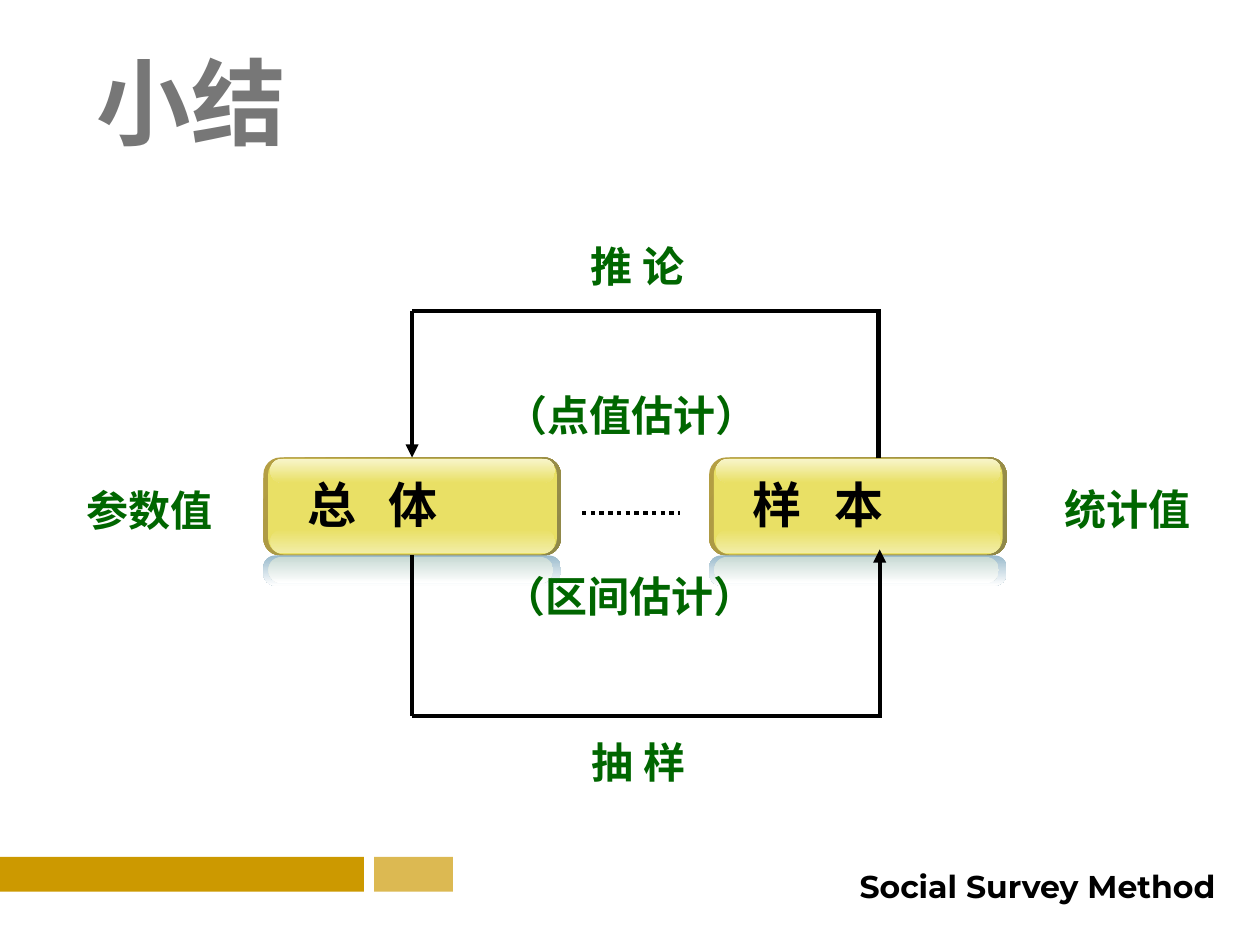
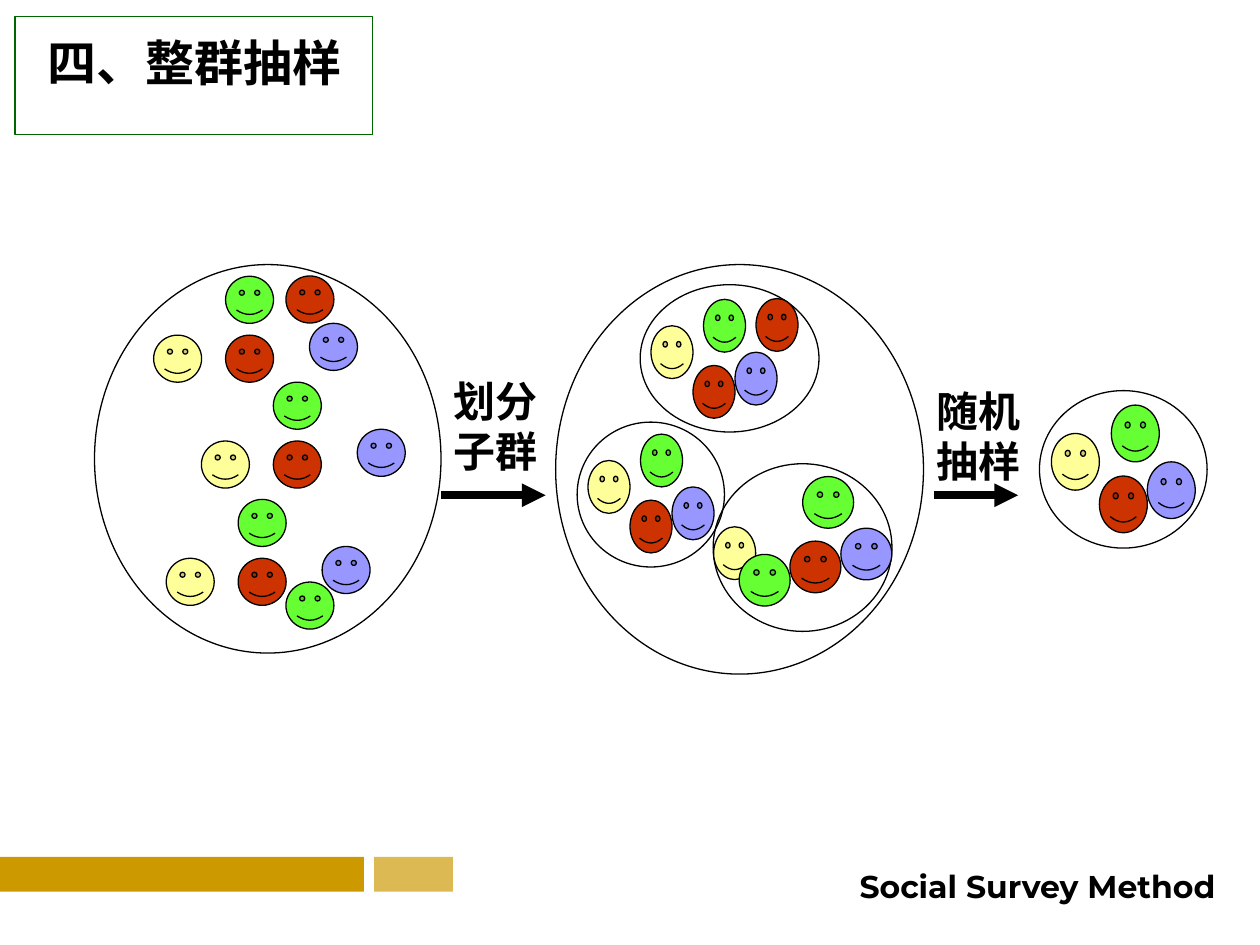
import pptx
import pptx.dml.color
import pptx.enum.dml
import pptx.enum.shapes
import pptx.enum.text
import pptx.oxml
import pptx.oxml.ns
import pptx.util
from lxml import etree

Pt = pptx.util.Pt
RGBColor = pptx.dml.color.RGBColor
ShapeKind = pptx.enum.shapes.MSO_SHAPE
Align = pptx.enum.text.PP_ALIGN
qn = pptx.oxml.ns.qn

BLACK = RGBColor(0, 0, 0)
WHITE = RGBColor(0xFF, 0xFF, 0xFF)
GOLD = RGBColor(0xCC, 0x99, 0x00)
GREEN = RGBColor(0x00, 0x66, 0x00)
GREY = RGBColor(0x77, 0x77, 0x77)

PILL = RGBColor(0xE9, 0xE0, 0x65)
PILL_RIM = (RGBColor(0xB5, 0x9F, 0x43), RGBColor(0x8F, 0x88, 0x49))
PILL_SHINE = (RGBColor(0xF8, 0xF5, 0xCC), PILL)
PILL_GLOW = (PILL, RGBColor(0xF2, 0xED, 0xA6))
REFLECTION_RIM = (RGBColor(0x99, 0xBA, 0xCC), WHITE)
REFLECTION = (RGBColor(0xC8, 0xDA, 0xD4), WHITE)

FACE_RED = RGBColor(0xCC, 0x33, 0x00)
FACE_YELLOW = RGBColor(0xFF, 0xFF, 0x99)
FACE_BLUE = RGBColor(0x97, 0x97, 0xFF)
FACE_GREEN = RGBColor(0x66, 0xFF, 0x33)

# Places of the faces around the red one, in face widths and heights
LOOSE = {FACE_RED: (0, 0), FACE_YELLOW: (-1.5, 0),
         FACE_BLUE: (1.75, -0.25), FACE_GREEN: (0, -1.25)}
CLUSTER = {FACE_RED: (0, 0), FACE_YELLOW: (-1, -0.75),
           FACE_BLUE: (1, -0.25), FACE_GREEN: (0.25, -1.25)}


def add_shape(slide, kind, box, fill=None, line=None, angle=270):
    """Add a preset shape; fill is a colour, a pair of gradient colours or None."""
    shape = slide.shapes.add_shape(kind, *map(Pt, box))
    shape.shadow.inherit = False
    if fill is None:
        shape.fill.background()
    elif isinstance(fill, RGBColor):
        shape.fill.solid()
        shape.fill.fore_color.rgb = fill
    else:
        shape.fill.gradient()
        shape.fill.gradient_angle = angle
        for stop, color in zip(shape.fill.gradient_stops, fill):
            stop.color.rgb = color
    if line is None:
        shape.line.fill.background()
    else:
        shape.line.color.rgb = line
        shape.line.width = Pt(0.75)
    return shape


def write(shape, text, size, color, font, align=Align.LEFT, tab=None):
    frame = shape.text_frame
    frame.word_wrap = True
    frame.auto_size = pptx.enum.text.MSO_AUTO_SIZE.NONE
    frame.vertical_anchor = pptx.enum.text.MSO_ANCHOR.TOP
    paragraph = frame.paragraphs[0]
    paragraph.alignment = align
    if tab:
        tabs = etree.SubElement(paragraph._element.get_or_add_pPr(), qn("a:tabLst"))
        etree.SubElement(tabs, qn("a:tab"), pos=str(Pt(tab)), algn="l")
    run = paragraph.add_run()
    run.text = text
    run.font.size = Pt(size)
    run.font.bold = True
    run.font.name = font
    run.font.color.rgb = color
    return paragraph


def add_label(slide, text, box, size=24, color=GREEN, font="Arial", **options):
    label = slide.shapes.add_textbox(*map(Pt, box))
    write(label, text, size, color, font, **options)
    return label


def add_line(slide, start, end, width=2.5, arrow=False, dash=None):
    line = slide.shapes.add_connector(
        pptx.enum.shapes.MSO_CONNECTOR.STRAIGHT, *map(Pt, start + end))
    line.line.color.rgb = BLACK
    line.line.width = Pt(width)
    if dash:
        line.line.dash_style = dash
    properties = line._element.spPr
    if arrow:
        etree.SubElement(properties.find(qn("a:ln")), qn("a:tailEnd"), type="triangle")
    etree.SubElement(properties, qn("a:effectLst"))
    return line


def add_slide(presentation, title, box, size, color, font):
    """Add a slide with its title, the gold bands and the course name."""
    slide = presentation.slides.add_slide(presentation.slide_layouts[5])
    holder = slide.shapes.title
    holder.left, holder.top, holder.width, holder.height = map(Pt, box)
    paragraph = write(holder, title, size, color, font)
    add_shape(slide, ShapeKind.RECTANGLE, (0, 489.6, 208, 20), GOLD)
    pale = add_shape(slide, ShapeKind.RECTANGLE, (213.8, 489.6, 45, 20), GOLD)
    color_element = pale._element.spPr.find(qn("a:solidFill"))[0]
    etree.SubElement(color_element, qn("a:alpha"), val="68000")
    add_label(slide, "Social Survey Method", (473, 491.8, 239.8, 24), 18, BLACK,
              "Montserrat", align=Align.CENTER)
    return slide, paragraph


def add_pill(slide, left, text):
    """Draw a glossy button with its reflection and return its outer body."""
    top = 261.4
    layers = [
        (0, 0, 170, 56, 0.175, PILL_RIM, 315),
        (2.7, 0.7, 165, 54.7, 0.167, PILL, 0),
        (4, 41, 162.7, 13.7, 0.5, PILL_GLOW, 270),
        (4, 0.7, 162.7, 13.7, 0.5, PILL_SHINE, 270),
        (0, 56, 170, 17.3, 0.404, REFLECTION_RIM, 270),
        (2.9, 56.8, 162.7, 15.1, 0.5, REFLECTION, 270),
    ]
    shapes = []
    for x, y, width, height, rounding, fill, angle in layers:
        shape = add_shape(slide, ShapeKind.ROUNDED_RECTANGLE,
                          (left + x, top + y, width, height), fill, angle=angle)
        shape.adjustments[0] = rounding
        shapes.append(shape)
    label = add_label(slide, text, (left + 5, top + 6.4, 158, 41), 28, BLACK,
                      "DejaVu Sans", tab=46.5)
    label.text_frame.margin_left = Pt(20)
    return shapes[0]


def add_face(slide, color, left, top, width, height):
    add_shape(slide, ShapeKind.SMILEY_FACE, (left, top, width, height), color, BLACK)


def add_faces(slide, left, top, size, places):
    """Add a set of faces whose red one stands at left, top."""
    width, height = size
    for color, (across, down) in places.items():
        add_face(slide, color, left + across * width, top + down * height, *size)


def add_step(slide, text, left, top, start, end):
    add_line(slide, (start, 283), (end, 283), 4.5, arrow=True)
    add_label(slide, text, (left, top, 66.2, 65), 24, BLACK, "Times New Roman")


def build_summary(presentation):
    slide, title = add_slide(presentation, "小结", (48.2, 31.7, 385, 62.6), 54, GREY,
                             "Arial Narrow")
    title.line_spacing = 0.85

    population = add_pill(slide, 150.5, "总\t体")
    add_pill(slide, 405.2, "样\t本")

    left, right, upper, lower = 235.5, 502, 177.8, 409
    add_line(slide, (right, 262), (right, 176.6))
    add_line(slide, (left, upper), (right, upper))
    inference = add_line(slide, (left, upper), (left, 261.4), arrow=True)
    inference.end_connect(population, 0)
    sampling = add_line(slide, (left, 317.4), (left, lower))
    sampling.begin_connect(population, 2)
    add_line(slide, (left, lower), (right, lower))
    add_line(slide, (right + 0.7, lower + 1.2), (right + 0.7, 314), arrow=True)
    add_line(slide, (332.6, 293), (388.8, 293),
             dash=pptx.enum.dml.MSO_LINE.ROUND_DOT)

    for text, x, y, width in [
        ("推 论", 330.5, 133.9, 80),
        ("抽 样", 331.2, 417.6, 80),
        ("统计值", 601.2, 272.9, 116),
        ("参数值", 42.5, 273.6, 116),
        ("（点值估计）", 281.5, 218.9, 165),
        ("（区间估计）", 280.8, 322.6, 165),
    ]:
        add_label(slide, text, (x, y, width, 36))


def build_cluster_sampling(presentation):
    slide, _ = add_slide(presentation, "四、整群抽样", (20.2, 15.1, 368.6, 41), 28,
                         BLACK, "Arial")
    add_shape(slide, ShapeKind.RECTANGLE, (8.6, 9.4, 204.5, 67.7), line=GREEN)

    for circle in [
        (54, 151.2, 198, 222),
        (317.5, 151.2, 210.2, 234),
        (365.8, 162.7, 102.2, 84.2),
        (329.8, 241.2, 84.2, 82.8),
        (407.5, 265, 102.2, 95.8),
        (594, 223.2, 95.8, 90),
    ]:
        add_shape(slide, ShapeKind.OVAL, circle, line=BLACK)

    add_step(slide, "划分子群", 252, 211, 252, 311.8)
    add_step(slide, "随机抽样", 527.8, 216.7, 533.5, 581.8)

    crowd_face, group_face = (27.4, 26.9), (24, 30.2)
    wide_face, sample_face = (29.1, 29.5), (27.4, 32.4)
    for left, top in [(128.9, 191.5), (156.2, 252), (136.1, 319)]:
        add_faces(slide, left, top, crowd_face, LOOSE)
    add_face(slide, FACE_GREEN, 163.4, 332.6, *crowd_face)
    add_face(slide, FACE_RED, 163.4, 157.7, *crowd_face)

    add_faces(slide, 396, 208.8, group_face, CLUSTER)
    add_face(slide, FACE_RED, 432, 170.6, *group_face)
    add_faces(slide, 360, 285.8, group_face, CLUSTER)

    add_face(slide, FACE_YELLOW, 407.8, 301, *group_face)
    others = {color: place for color, place in CLUSTER.items() if color != FACE_YELLOW}
    add_faces(slide, 451.4, 309.2, wide_face, others)
    add_face(slide, FACE_GREEN, 422.4, 316.8, *wide_face)

    add_faces(slide, 628.2, 272, sample_face, CLUSTER)


def main():
    presentation = pptx.Presentation()
    presentation.slide_width = Pt(720)
    presentation.slide_height = Pt(540)
    build_summary(presentation)
    build_cluster_sampling(presentation)
    presentation.save("out.pptx")


if __name__ == "__main__":
    main()
